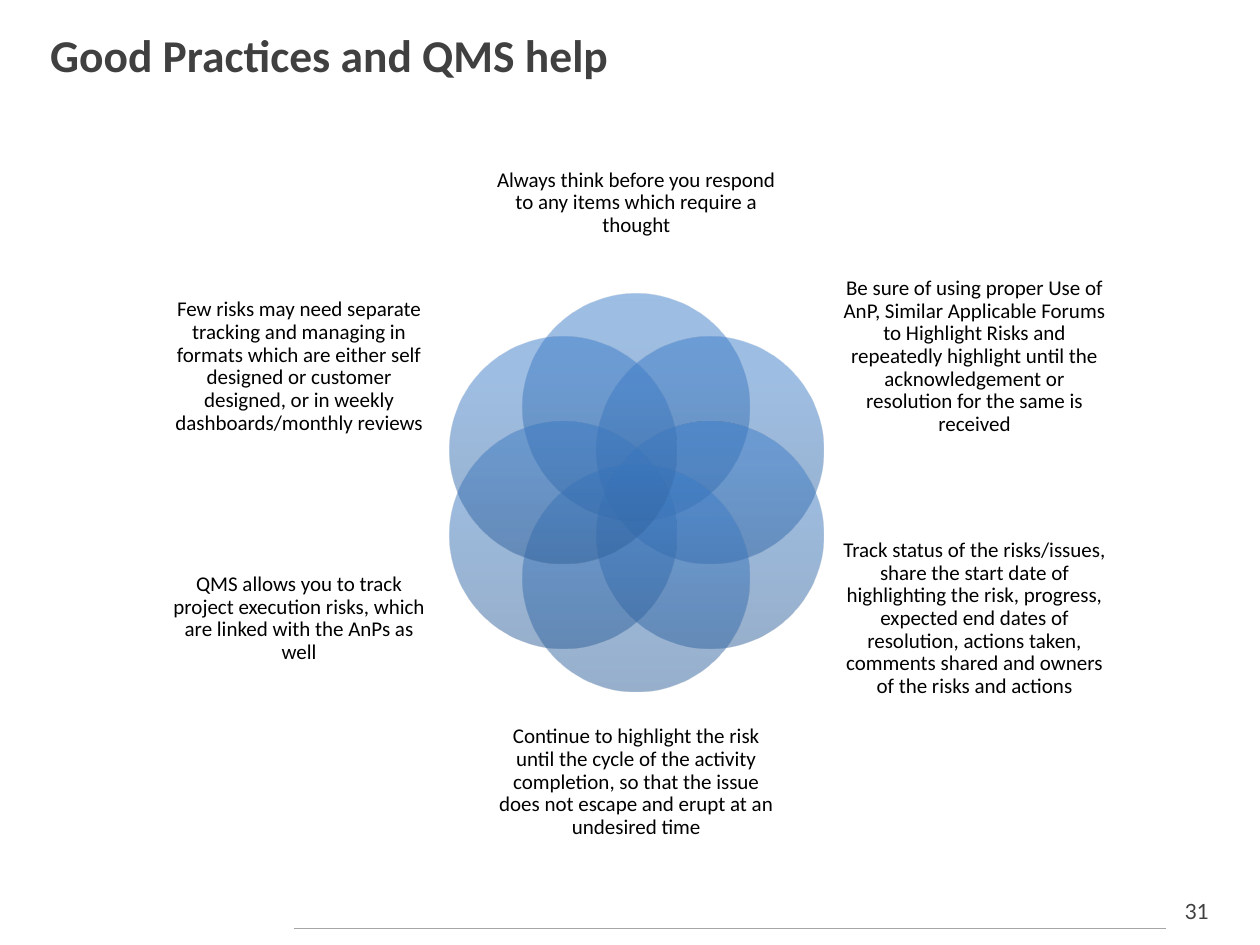
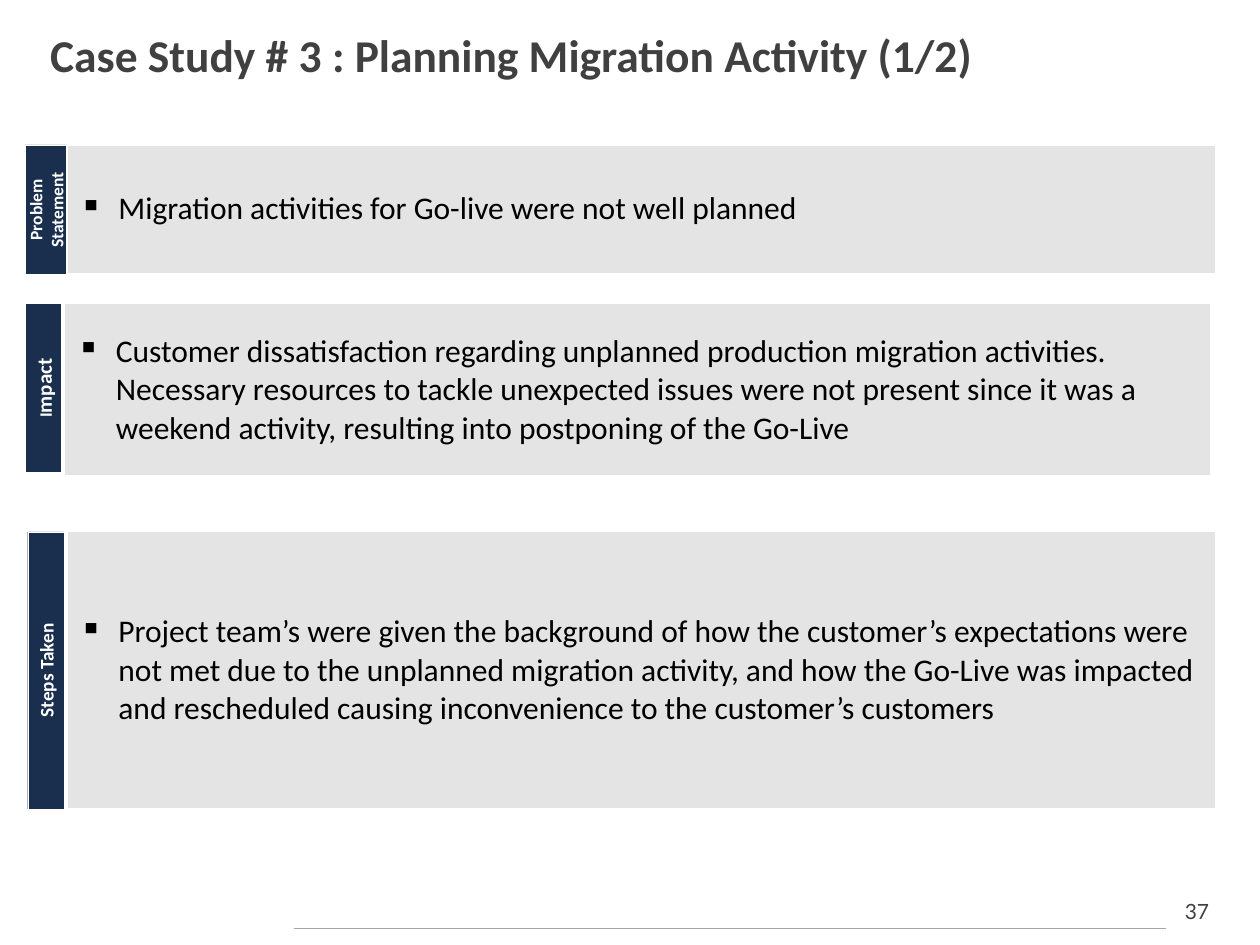
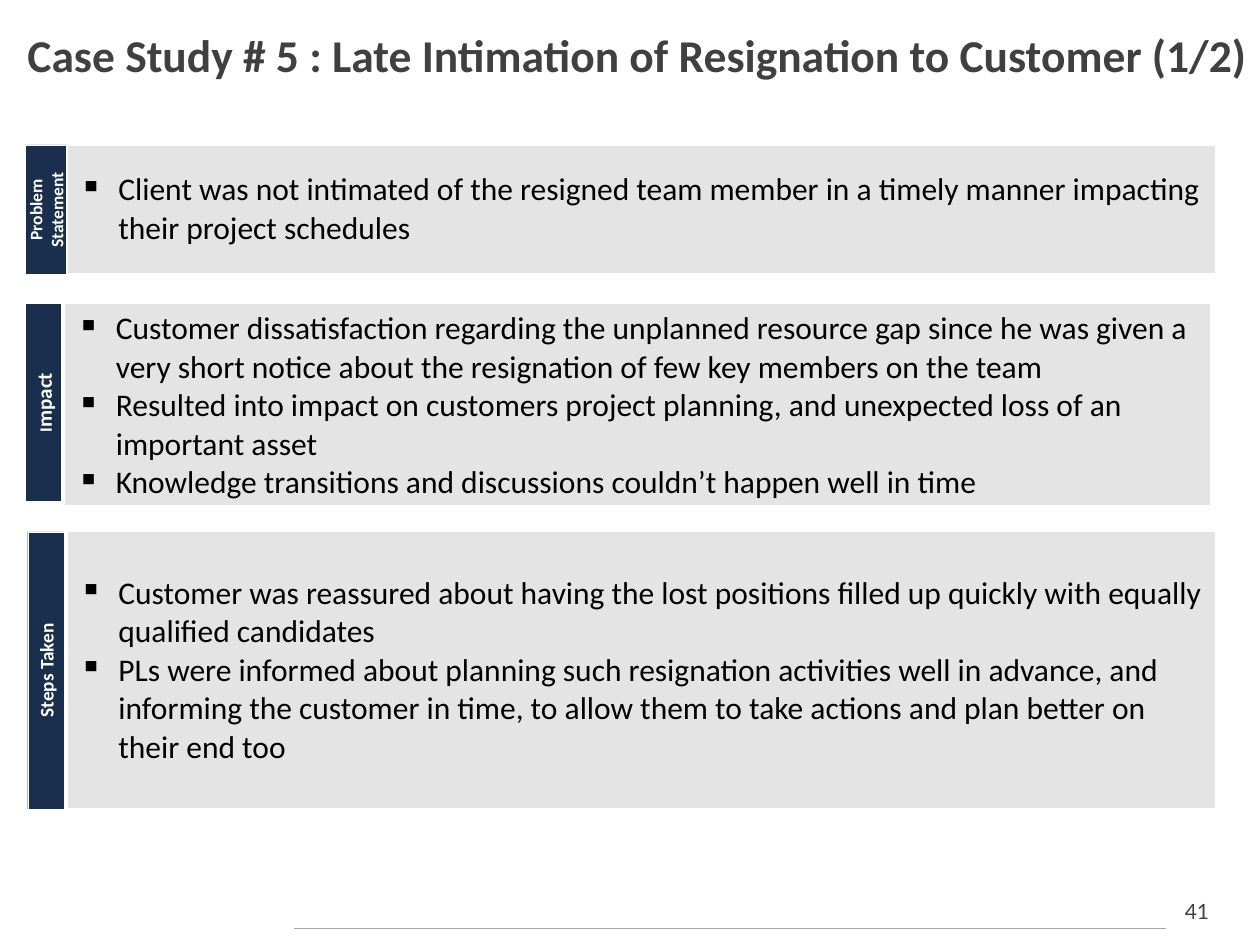
"""Build three slides on risk good practices and project case studies."""
import math

import pptx
import pptx.dml.color
import pptx.enum.shapes
import pptx.enum.text
import pptx.oxml.ns
import pptx.util
from lxml import etree

Inches = pptx.util.Inches
Pt = pptx.util.Pt
qn = pptx.oxml.ns.qn
ALIGN = pptx.enum.text.PP_ALIGN
MIDDLE = pptx.enum.text.MSO_ANCHOR.MIDDLE
SHAPE = pptx.enum.shapes.MSO_SHAPE

COLORS = {
    "title": "404040", "text": "000000", "white": "FFFFFF", "rule": "A6A6A6",
    "label": "1A2F4E", "panel": "E4E4E4",
    "petal_dark": "2F5F99", "petal_mid": "3D7CC7", "petal_light": "3A7CCB",
}
PETAL_STOPS = [(0, "petal_dark"), (80, "petal_mid"), (100, "petal_light")]
PETAL_OPACITY = 50
PETAL_SIZE = 1.8
FLOWER_CENTER = (5.05, 3.91)
FLOWER_RADIUS = 0.675

TITLE_BOX = (0.3, 0.12, 9.36, 0.63)
WIDE_TITLE_BOX = (0.12, 0.12, 10.13, 0.63)

PRACTICES = [
    ("Always think before you respond to any items which require a thought",
     (3.93, 1, 2.24, 1.22)),
    ("Be sure of using proper Use of AnP, Similar Applicable Forums to Highlight Risks "
     "and repeatedly highlight until the acknowledgement or resolution for the same is received",
     (6.67, 2.16, 2.13, 1.34)),
    ("Track status of the risks/issues, share the start date of highlighting the risk, "
     "progress, expected end dates of resolution, actions taken, comments shared and owners "
     "of the risks and actions",
     (6.67, 4.16, 2.13, 1.5)),
    ("Continue to highlight the risk until the cycle of the activity completion, so that "
     "the issue does not escape and erupt at an undesired time",
     (3.93, 5.6, 2.24, 1.22)),
    ("QMS allows you to track project execution risks, which are linked with the AnPs as well",
     (1.31, 4.16, 2.13, 1.5)),
    ("Few risks may need separate tracking and managing in formats which are either self "
     "designed or customer designed, or in weekly dashboards/monthly reviews",
     (1.31, 2.16, 2.13, 1.5)),
]

SECTIONS = [
    {"label": ["Problem", "Statement"], "size": 10,
     "label_box": (0.2, 1.15, 0.33, 1.03), "panel_box": (0.53, 1.15, 9.12, 1.02)},
    {"label": [[("I", 10), ("mpact", 12)]], "size": 12,
     "label_box": (0.2, 2.41, 0.29, 1.34), "panel_box": (0.51, 2.41, 9.1, 1.37)},
    {"label": ["Steps Taken"], "size": 11,
     "label_box": (0.22, 4.22, 0.29, 2.2), "panel_box": (0.53, 4.22, 9.12, 2.2)},
]

CASES = [
    {"title": "Case Study # 3 : Planning Migration Activity (1/2)",
     "number": 37, "title_box": TITLE_BOX, "impact_growth": 0,
     "points": [
         ["Migration activities for Go-live were not well planned"],
         ["Customer dissatisfaction regarding unplanned production migration activities. "
          "Necessary resources to tackle unexpected issues were not present since it was a "
          "weekend activity, resulting into postponing of the Go-Live"],
         ["Project team’s were given the background of how the customer’s expectations were "
          "not met due to the unplanned migration activity, and how the Go-Live was impacted "
          "and rescheduled causing inconvenience to the customer’s customers"],
     ]},
    {"title": "Case Study # 5 : Late Intimation of Resignation to Customer (1/2)",
     "number": 41, "title_box": WIDE_TITLE_BOX, "impact_growth": 0.23,
     "points": [
         ["Client was not intimated of the resigned team member in a timely manner impacting "
          "their project schedules"],
         ["Customer dissatisfaction regarding the unplanned resource gap since he was given a "
          "very short notice about the resignation of few key members on the team",
          "Resulted into impact on customers project planning, and unexpected loss of an "
          "important asset",
          "Knowledge transitions and discussions couldn’t happen well in time"],
         ["Customer was reassured about having the lost positions filled up quickly with "
          "equally qualified candidates",
          "PLs were informed about planning such resignation activities well in advance, and "
          "informing the customer in time, to allow them to take actions and plan better on "
          "their end too"],
     ]},
]


def rgb(name):
    return pptx.dml.color.RGBColor.from_string(COLORS[name])


def inches(box):
    return [Inches(length) for length in box]


def write(frame, paragraphs, size=12, color="text", bold=False, font="Calibri",
          align=ALIGN.LEFT, spacing=None, bullet=None):
    frame.word_wrap = True
    for index, content in enumerate(paragraphs):
        paragraph = frame.add_paragraph() if index else frame.paragraphs[0]
        paragraph.alignment = align
        if spacing:
            paragraph.line_spacing = spacing
        if bullet:
            properties = paragraph._p.get_or_add_pPr()
            properties.set("marL", str(Inches(0.31)))
            properties.set("indent", str(-Inches(0.31)))
            etree.SubElement(properties, qn("a:buChar")).set("char", bullet)
        runs = [(content, size)] if isinstance(content, str) else content
        for text, run_size in runs:
            run = paragraph.add_run()
            run.text = text
            run.font.name = font
            run.font.size = Pt(run_size)
            run.font.bold = bold
            run.font.color.rgb = rgb(color)


def add_text(slide, box, paragraphs, margin=None, anchor=MIDDLE, **style):
    frame = slide.shapes.add_textbox(*inches(box)).text_frame
    frame.vertical_anchor = anchor
    if margin is not None:
        frame.margin_left = frame.margin_right = Inches(margin)
        frame.margin_top = frame.margin_bottom = Inches(margin)
    write(frame, paragraphs, **style)


def add_base_slide(presentation, title, number, title_box=TITLE_BOX):
    slide = presentation.slides.add_slide(presentation.slide_layouts[6])
    add_text(slide, (9.25, 7.08, 0.5, 0.3), [str(number)], font="Lato", color="title",
             align=ALIGN.CENTER, anchor=pptx.enum.text.MSO_ANCHOR.TOP)
    rule = slide.shapes.add_connector(pptx.enum.shapes.MSO_CONNECTOR.STRAIGHT,
                                      *inches((2.33, 7.37, 9.25, 7.37)))
    rule.line.color.rgb = rgb("rule")
    rule.line.width = Pt(0.75)
    etree.SubElement(rule._element.spPr, qn("a:effectLst"))
    add_text(slide, title_box, [title], size=26, color="title", bold=True)
    return slide


def add_petal(slide, center_x, center_y):
    half = PETAL_SIZE / 2
    petal = slide.shapes.add_shape(SHAPE.OVAL, *inches(
        (center_x - half, center_y - half, PETAL_SIZE, PETAL_SIZE)))
    petal.shadow.inherit = False
    petal.line.fill.background()
    petal.fill.gradient()
    petal.fill.gradient_angle = 90
    stops = petal._element.spPr.find(qn("a:gradFill")).find(qn("a:gsLst"))
    for stop in list(stops):
        stops.remove(stop)
    for position, color in PETAL_STOPS:
        stop = etree.SubElement(stops, qn("a:gs"), pos=str(position * 1000))
        shade = etree.SubElement(stop, qn("a:srgbClr"), val=COLORS[color])
        etree.SubElement(shade, qn("a:alpha"), val=str(PETAL_OPACITY * 1000))


def add_practices(presentation):
    slide = add_base_slide(presentation, "Good Practices and QMS help", 31)
    for index, (text, box) in enumerate(PRACTICES):
        angle = 2 * math.pi * index / len(PRACTICES)
        add_petal(slide, FLOWER_CENTER[0] + FLOWER_RADIUS * math.sin(angle),
                  FLOWER_CENTER[1] - FLOWER_RADIUS * math.cos(angle))
        add_text(slide, box, [text], margin=0, align=ALIGN.CENTER, spacing=0.9)


def add_panel(slide, box, points):
    table = slide.shapes.add_table(1, 1, *inches(box)).table
    table.first_row = table.horz_banding = False
    cell = table.cell(0, 0)
    cell.vertical_anchor = MIDDLE
    cell.fill.solid()
    cell.fill.fore_color.rgb = rgb("panel")
    properties = cell._tc.get_or_add_tcPr()
    for index, side in enumerate(("lnL", "lnR", "lnT", "lnB")):
        border = etree.Element(qn("a:" + side), w=str(Pt(1)))
        fill = etree.SubElement(border, qn("a:solidFill"))
        etree.SubElement(fill, qn("a:srgbClr"), val=COLORS["white"])
        properties.insert(index, border)
    write(cell.text_frame, points, size=18, bullet="▪")


def add_label(slide, box, paragraphs, size):
    left, top, width, height = box
    label = slide.shapes.add_shape(SHAPE.RECTANGLE, *inches(
        (left + (width - height) / 2, top + (height - width) / 2, height, width)))
    label.rotation = 270
    label.shadow.inherit = False
    label.fill.solid()
    label.fill.fore_color.rgb = rgb("label")
    label.line.color.rgb = rgb("white")
    label.line.width = Pt(0.25)
    label.text_frame.vertical_anchor = MIDDLE
    write(label.text_frame, paragraphs, size=size, color="white", bold=True,
          align=ALIGN.CENTER)


def add_case(presentation, case):
    slide = add_base_slide(presentation, case["title"], case["number"], case["title_box"])
    growths = (0, case["impact_growth"], 0)
    for section, points, growth in zip(SECTIONS, case["points"], growths):
        *panel_start, panel_height = section["panel_box"]
        add_panel(slide, (*panel_start, panel_height + growth), points)
        *label_start, label_height = section["label_box"]
        add_label(slide, (*label_start, label_height + growth),
                  section["label"], section["size"])


def main():
    presentation = pptx.Presentation()
    presentation.slide_width = Inches(10)
    presentation.slide_height = Inches(7.5)
    add_practices(presentation)
    for case in CASES:
        add_case(presentation, case)
    presentation.save("out.pptx")


if __name__ == "__main__":
    main()
